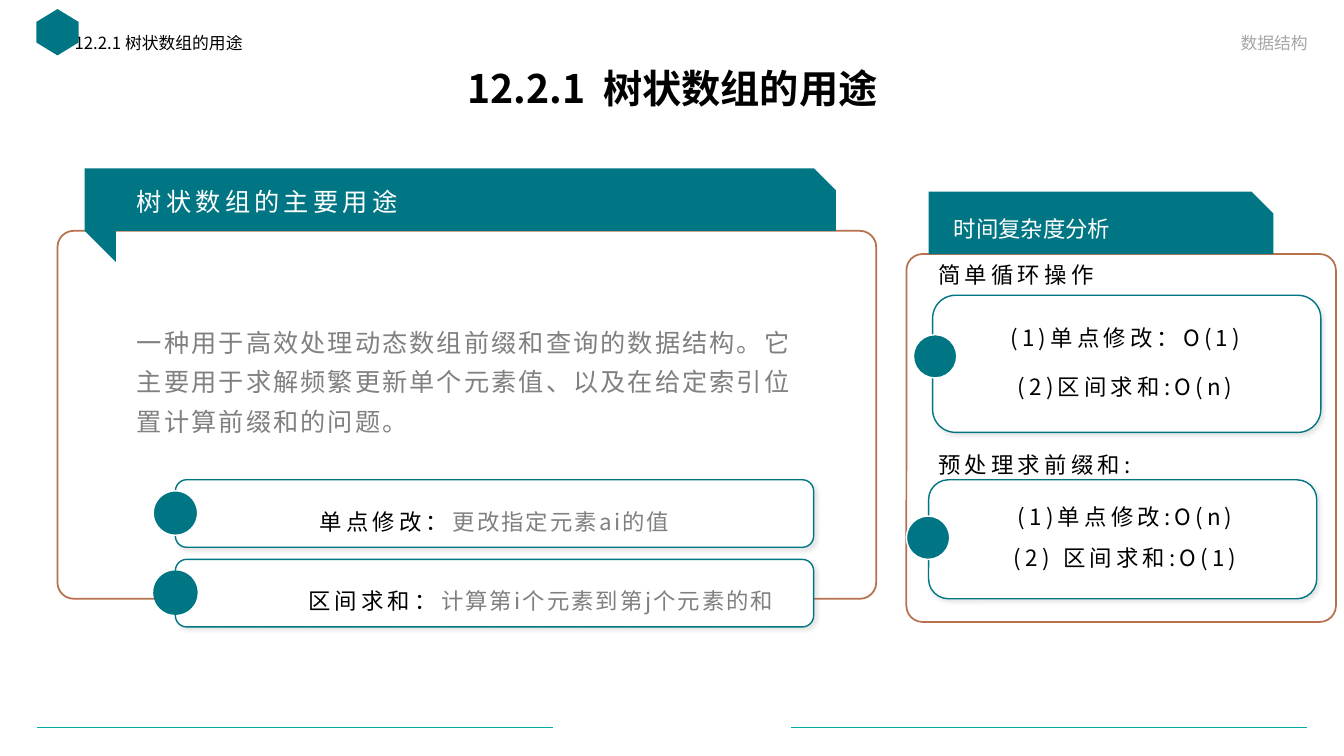
from lxml.etree import SubElement
from pptx import Presentation
from pptx.dml.color import RGBColor
from pptx.enum.shapes import MSO_CONNECTOR, MSO_SHAPE
from pptx.enum.text import MSO_ANCHOR, MSO_AUTO_SIZE, PP_ALIGN
from pptx.oxml.ns import qn
from pptx.util import Inches, Pt

FONT = "Noto Sans CJK SC"
TEAL, AQUA, BROWN = "007684", "00ABA5", "B7714F"
BLACK, WHITE, GRAY, PALE = "000000", "FFFFFF", "808080", "A6A6A6"


def rgb(color):
    return RGBColor.from_string(color)


def place(sp, x, y, w, h):
    sp.left, sp.top, sp.width, sp.height = (Inches(v) for v in (x, y, w, h))


def format_run(r, size, color, spacing=0, bold=False):
    r.font.size, r.font.bold, r.font.name = Pt(size), bold, FONT
    r.font.color.rgb = rgb(color)
    rPr = r._r.get_or_add_rPr()
    rPr.set("spc", str(int(spacing * 100)))
    SubElement(rPr, qn("a:ea"), typeface=FONT)


def format_paragraph(p, size, color, spacing=0, bold=False, align=PP_ALIGN.LEFT,
                     line=1.0, before=0, after=0):
    p.alignment, p.line_spacing = align, line
    p.space_before, p.space_after = Pt(before), Pt(after)
    for r in p.runs:
        format_run(r, size, color, spacing, bold)


def fill_placeholder(sp, box, text, size, color, anchor, **style):
    place(sp, *box)
    tf = sp.text_frame
    tf.text = text
    tf.auto_size, tf.vertical_anchor = MSO_AUTO_SIZE.NONE, anchor
    format_paragraph(tf.paragraphs[0], size, color, **style)


def add_box(s, kind, x, y, w, h, fill, line=None, width=1, adj=None):
    sp = s.shapes.add_shape(kind, *(Inches(v) for v in (x, y, w, h)))
    sp.shadow.inherit = False
    sp.fill.solid()
    sp.fill.fore_color.rgb = rgb(fill)
    if line:
        sp.line.color.rgb = rgb(line)
        sp.line.width = Pt(width)
    else:
        sp.line.fill.background()
    if adj is not None:
        sp.adjustments[0] = adj
    return sp


def add_card(s, x, y, w, h):
    add_box(s, MSO_SHAPE.ROUNDED_RECTANGLE, x, y, w, h, WHITE, BROWN, 1.25, 0.044)


def add_panel(s, x, y, w, h):
    sp = add_box(s, MSO_SHAPE.ROUNDED_RECTANGLE, x, y, w, h, WHITE, TEAL)
    effects = sp._element.spPr.find(qn("a:effectLst"))
    shadow = SubElement(effects, qn("a:outerShdw"), blurRad=str(Pt(3)), dist=str(Pt(2)),
                        dir="2700000", algn="tl", rotWithShape="0")
    color = SubElement(shadow, qn("a:srgbClr"), val=GRAY)
    SubElement(color, qn("a:alpha"), val="20000")


def add_dot(s, x, y, size, line=WHITE):
    add_box(s, MSO_SHAPE.OVAL, x, y, size, size, TEAL, line)


def add_banner(s, x, y, w):
    return add_box(s, MSO_SHAPE.SNIP_1_RECTANGLE, x, y, w, 0.62, TEAL, adj=0.351)


def add_text(s, x, y, w, h, text, size=16, color=BLACK, spacing=3, **style):
    tf = s.shapes.add_textbox(*(Inches(v) for v in (x, y, w, h))).text_frame
    tf.word_wrap = True
    tf.text = text
    for p in tf.paragraphs:
        format_paragraph(p, size, color, spacing, **style)
    return tf


def add_definition(s, x, y, w, h, term, meaning):
    tf = add_text(s, x, y, w, h, term, align=PP_ALIGN.CENTER, line=1.3, after=10)
    r = tf.paragraphs[0].add_run()
    r.text = meaning
    format_run(r, 16, GRAY, 1.5)


def add_costs(s, x, y, w, h, costs, lines):
    tf = add_text(s, x, y, w, h, "\n".join(costs), align=PP_ALIGN.CENTER, after=10)
    for p, line in zip(tf.paragraphs, lines):
        p.line_spacing = line
    # The first line sits slightly left of the second
    tf.paragraphs[0]._p.get_or_add_pPr().set("marR", str(Inches(0.2)))


def add_rule(s, x1, x2, y):
    line = s.shapes.add_connector(MSO_CONNECTOR.STRAIGHT, Inches(x1), Inches(y),
                                  Inches(x2), Inches(y))
    line.line.color.rgb = rgb(AQUA)
    line.line.width = Pt(0.5)
    SubElement(line._element.spPr, qn("a:effectLst"))


def add_header(s):
    title, section, unused, course, unused_too = s.placeholders
    for sp in (unused, unused_too):
        sp._element.getparent().remove(sp._element)
    fill_placeholder(title, (0.92, 0.62, 11.5, 0.57), "12.2.1  树状数组的用途", 28, BLACK,
                     MSO_ANCHOR.MIDDLE, bold=True, align=PP_ALIGN.CENTER, line=0.9)
    fill_placeholder(section, (0.64, 0.3, 5.32, 0.36), "12.2.1 树状数组的用途", 12, BLACK,
                     MSO_ANCHOR.TOP, line=0.9, before=10)
    fill_placeholder(course, (7.43, 0.22, 5.64, 0.35), "数据结构", 12, PALE,
                     MSO_ANCHOR.BOTTOM, align=PP_ALIGN.RIGHT, before=10)
    emblem = add_box(s, MSO_SHAPE.HEXAGON, 0.34, 0.11, 0.46, 0.42, TEAL, adj=0.305)
    emblem.rotation = 90


def add_uses(s):
    add_card(s, 0.57, 2.29, 8.12, 3.65)
    add_text(s, 1.26, 3.11, 6.81, 1.81,
             "一种用于高效处理动态数组前缀和查询的数据结构。它主要用于求解频繁更新单个元素值、"
             "以及在给定索引位置计算前缀和的问题。", 18, GRAY, 1.5, line=1.3, after=10)
    add_banner(s, 0.84, 1.67, 7.45)
    add_text(s, 1.26, 1.8, 3.36, 0.35, "树状数组的主要用途", 18, WHITE)
    fold = add_box(s, MSO_SHAPE.RIGHT_TRIANGLE, 0.84, 2.29, 0.31, 0.31, TEAL)
    fold.rotation = 180
    # Two operations, one row each
    for y, line in ((4.76, WHITE), (5.55, None)):
        add_panel(s, 1.74, y, 6.33, 0.67)
        add_dot(s, 1.52, y + 0.11, 0.44, line)
    add_definition(s, 2.8, 4.91, 4.21, 0.45, "单点修改：", "更改指定元素ai的值")
    add_definition(s, 2.8, 5.7, 5.13, 0.45, "区间求和：", "计算第i个元素到第j个元素的和")


def add_complexity(s):
    add_card(s, 8.99, 2.52, 4.26, 3.65)
    # Simple loop
    add_panel(s, 9.25, 2.93, 3.85, 1.36)
    add_dot(s, 9.06, 3.32, 0.43)
    add_text(s, 9.21, 2.54, 3.14, 0.37, "简单循环操作")
    add_costs(s, 9.56, 3.11, 3.4, 0.99,
              ["(1)单点修改：O(1)", "(2)区间求和:O(n)"], (1.2, 1.3))
    # Prefix sums
    add_panel(s, 9.21, 4.76, 3.85, 1.18)
    add_dot(s, 8.99, 5.12, 0.43)
    add_text(s, 9.21, 4.43, 2.93, 0.37, "预处理求前缀和:")
    add_costs(s, 9.79, 4.94, 2.94, 1,
              ["(1)单点修改:O(n)", "(2) 区间求和:O(1)"], (1.0, 1.0))
    # Banner
    tf = add_banner(s, 9.21, 1.9, 3.42).text_frame
    tf.text = "时间复杂度分析"
    tf.margin_left, tf.vertical_anchor = Inches(0.25), MSO_ANCHOR.MIDDLE
    format_paragraph(tf.paragraphs[0], 16, WHITE)


def main():
    prs = Presentation()
    prs.slide_width, prs.slide_height = Inches(13.33), Inches(7.5)
    s = prs.slides.add_slide(prs.slide_layouts.get_by_name("Comparison"))
    add_header(s)
    add_uses(s)
    add_complexity(s)
    # Footer rules
    for x in (0.37, 7.85):
        add_rule(s, x, x + 5.11, 7.22)
    prs.save("out.pptx")


if __name__ == "__main__":
    main()
